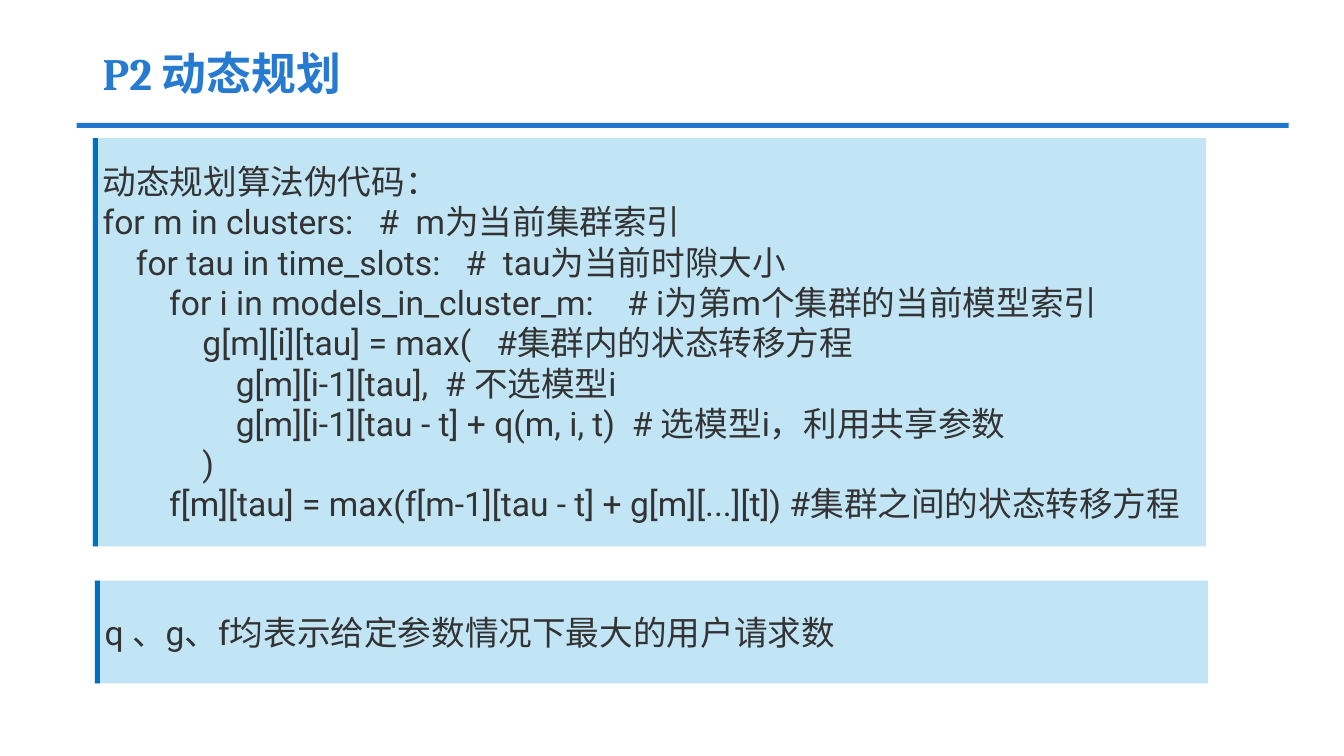
from dataclasses import dataclass

from pptx import Presentation
from pptx.dml.color import RGBColor
from pptx.enum.shapes import MSO_SHAPE as Shape
from pptx.enum.text import MSO_ANCHOR as Anchor, PP_ALIGN as Align
from pptx.util import Pt

EMU_PER_PX = 9144  # 100 px to the inch


@dataclass(frozen=True)
class Theme:
    title: str = "267AD0"
    rule: str = "2376CD"
    panel: str = "C1E5F5"
    accent: str = "0070C0"
    body: str = "333333"
    title_font: str = "Cambria"
    body_font: str = "Roboto"
    title_size: int = 32
    body_size: int = 24


THEME = Theme()
ACCENT_WIDTH = 5
INDENT = 33

# Each line of the pseudocode with its nesting level.
PSEUDOCODE = [
    (0, "动态规划算法伪代码："),
    (0, "for m in clusters:   #  m为当前集群索引"),
    (1, "for tau in time_slots:   #  tau为当前时隙大小"),
    (2, "for i in models_in_cluster_m:    # i为第m个集群的当前模型索引"),
    (3, "g[m][i][tau] = max(   #集群内的状态转移方程"),
    (4, "g[m][i-1][tau],  # 不选模型i"),
    (4, "g[m][i-1][tau - t] + q(m, i, t)  # 选模型i，利用共享参数"),
    (3, ")"),
    (2, "f[m][tau] = max(f[m-1][tau - t] + g[m][...][t]) #集群之间的状态转移方程"),
]
SUMMARY = [(0, "q 、g、f均表示给定参数情况下最大的用户请求数")]


def px(length):
    return length * EMU_PER_PX


def add_block(shapes, box, color):
    block = shapes.add_shape(Shape.RECTANGLE, *map(px, box))
    block.shadow.inherit = False
    block.fill.solid()
    block.fill.fore_color.rgb = RGBColor.from_string(color)
    block.line.fill.background()
    return block


def write(frame, lines, *, font, size, color, bold=False, spacing=None):
    """Fill a text frame with (level, text) lines, indented by level."""
    frame.word_wrap = True
    frame.vertical_anchor = Anchor.MIDDLE
    for number, (level, text) in enumerate(lines):
        paragraph = frame.add_paragraph() if number else frame.paragraphs[0]
        paragraph.alignment = Align.LEFT
        if spacing:
            paragraph.line_spacing = spacing
        if level:
            paragraph._p.get_or_add_pPr().set("marL", str(px(level * INDENT)))
        run = paragraph.add_run()
        run.text = text
        run.font.name = font
        run.font.size = Pt(size)
        run.font.bold = bold
        run.font.color.rgb = RGBColor.from_string(color)


def add_header(slide, box, title):
    """Place the title at the top of the box and the rule along its bottom."""
    left, top, width, height = box
    rule_height = 5
    add_block(slide.shapes, (left, top + height - rule_height, width, rule_height), THEME.rule)
    heading = slide.shapes.add_textbox(*map(px, (left + 16, top, 631, 57)))
    write(heading.text_frame, [(0, title)], font=THEME.title_font,
          size=THEME.title_size, color=THEME.title, bold=True, spacing=0.9)


def add_panel(slide, box, lines):
    """Group a tinted text panel with the accent bar on its left edge."""
    left, top, _, height = box
    group = slide.shapes.add_group_shape()
    panel = add_block(group.shapes, box, THEME.panel)
    write(panel.text_frame, lines, font=THEME.body_font,
          size=THEME.body_size, color=THEME.body)
    add_block(group.shapes, (left, top, ACCENT_WIDTH, height), THEME.accent)


def main():
    deck = Presentation()
    deck.slide_width, deck.slide_height = px(1333), px(750)
    slide = deck.slides.add_slide(deck.slide_layouts[6])
    add_header(slide, (76, 47, 1202, 80), "P2 动态规划")
    add_panel(slide, (92, 137, 1104, 405), PSEUDOCODE)
    add_panel(slide, (94, 576, 1104, 102), SUMMARY)
    deck.save("out.pptx")


if __name__ == "__main__":
    main()
